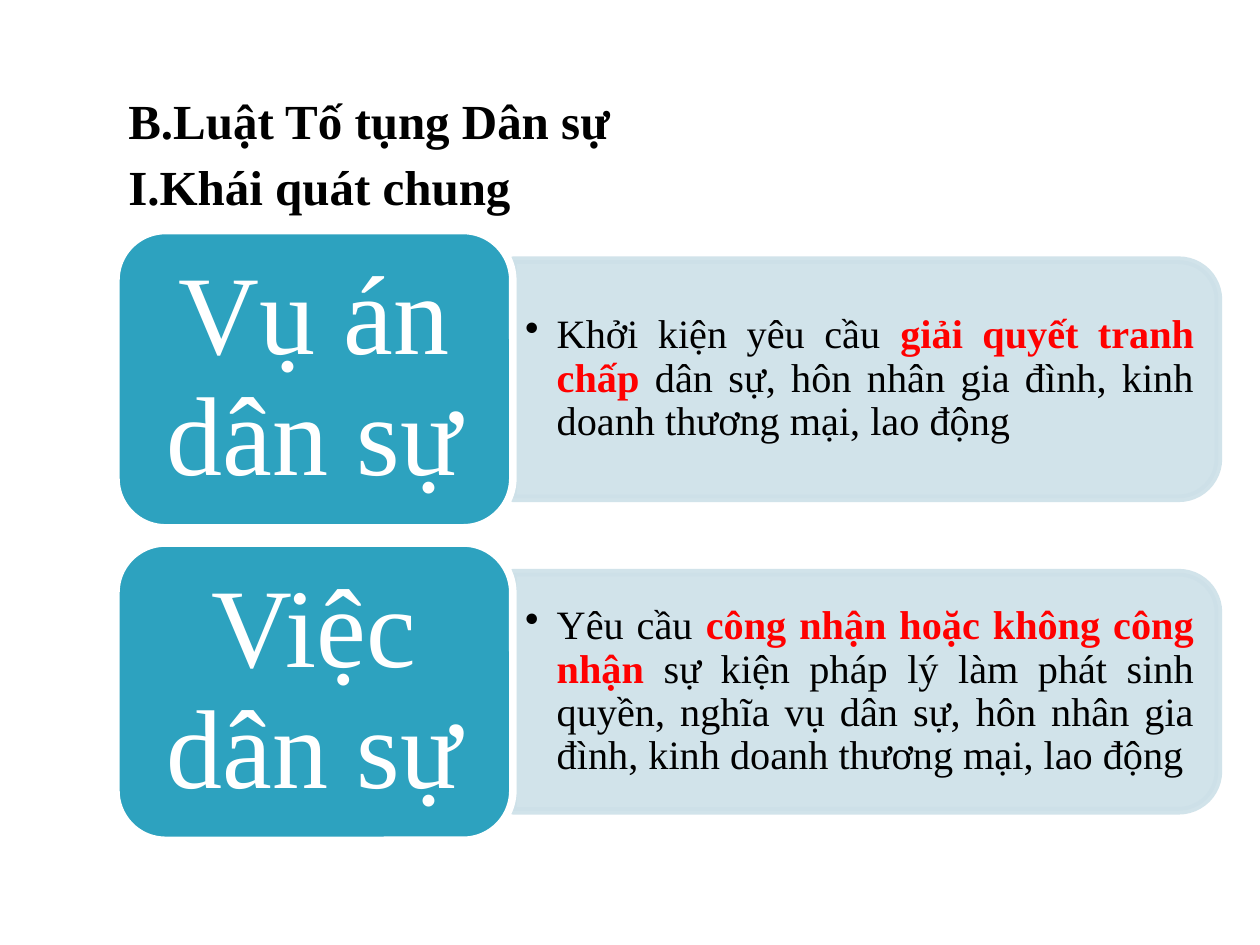
"""Build a slide that sets civil cases beside civil matters."""
from dataclasses import dataclass

from lxml.etree import SubElement
from pptx import Presentation
from pptx.dml.color import RGBColor
from pptx.enum.shapes import MSO_SHAPE
from pptx.enum.text import MSO_ANCHOR, PP_ALIGN
from pptx.oxml.ns import qn
from pptx.util import Inches, Pt


@dataclass(frozen=True)
class Theme:
    font: str = "Times New Roman"
    ink: str = "000000"
    stress: str = "FF0000"
    paper: str = "FFFFFF"
    tile: str = "2DA2BF"
    band: str = "CDE0E8"
    head: int = 28
    body: int = 23
    label: int = 64
    edge: float = 4.33
    alpha: int = 90


class Deck:
    COLS, ROWS = 100, 75

    def __init__(self, theme):
        self.theme = theme
        self.prs = Presentation()
        self.prs.slide_width, self.prs.slide_height = Inches(10), Inches(7.5)
        self.slide = self.prs.slides.add_slide(self.prs.slide_layouts[6])

    def place(self, x, y, w, h):
        col = self.prs.slide_width / self.COLS
        row = self.prs.slide_height / self.ROWS
        return [round(n) for n in (x * col, y * row, w * col, h * row)]

    def shape(self, kind, box, fill, line, alpha=100):
        item = self.slide.shapes.add_shape(kind, *self.place(*box))
        item.shadow.inherit = False
        item.line.width = Pt(self.theme.edge)
        for part, color in ((item.fill, fill), (item.line.fill, line)):
            part.solid()
            part.fore_color.rgb = RGBColor.from_string(color)
        if alpha < 100:
            for tint in item._element.spPr.iter(qn("a:srgbClr")):
                SubElement(tint, qn("a:alpha"), val=str(alpha * 1000))
        return item

    def tile(self, box):
        self.shape(MSO_SHAPE.ROUNDED_RECTANGLE, box, self.theme.tile, self.theme.paper)

    def band(self, x, y, w, h):
        box = (x + (w - h) / 2, y + (h - w) / 2, h, w)
        look = self.theme
        item = self.shape(MSO_SHAPE.ROUND_2_SAME_RECTANGLE, box, look.band, look.band, look.alpha)
        item.rotation = 90

    def text(self, box, paras, size, align=None, anchor=MSO_ANCHOR.MIDDLE,
             pad=(0.1, 0.05), lead=None, before=0, bullet=False):
        frame = self.slide.shapes.add_textbox(*self.place(*box)).text_frame
        frame.word_wrap = True
        frame.vertical_anchor = anchor
        frame.margin_left = frame.margin_right = Inches(pad[0])
        frame.margin_top = frame.margin_bottom = Inches(pad[1])
        for i, runs in enumerate(paras):
            para = frame.add_paragraph() if i else frame.paragraphs[0]
            para.alignment = align
            para.line_spacing = lead
            para.space_before = Pt(before)
            if bullet:
                self.bullet(para)
            for words, color, bold in runs:
                run = para.add_run()
                run.text = words
                run.font.name = self.theme.font
                run.font.size = Pt(size)
                run.font.bold = bold
                run.font.color.rgb = RGBColor.from_string(color)

    def bullet(self, para):
        props = para._p.get_or_add_pPr()
        props.set("marL", str(Inches(0.25)))
        props.set("indent", str(Inches(-0.25)))
        SubElement(props, qn("a:buChar"), char="•")

    def row(self, y, label, parts):
        look = self.theme
        self.band(40.7, y + 2.35, 56, 18.9)
        runs = [(words, look.stress if bold else look.ink, bold) for words, bold in parts]
        self.text((40.7, y + 3.3, 55.1, 17), [runs], look.body,
                  PP_ALIGN.JUSTIFY, lead=0.9, bullet=True)
        self.tile((9.2, y, 31.5, 23.6))
        self.text((10.3, y + 1.15, 29.2, 21.3), [[(label, look.paper, False)]],
                  look.label, PP_ALIGN.CENTER, pad=(0.27, 0.13), lead=0.9)


def main():
    look = Theme()
    deck = Deck(look)
    heads = ("B.Luật Tố tụng Dân sự", "I.Khái quát chung")
    deck.text((9.2, 6.7, 40.8, 12.5), [[(words, look.ink, True)] for words in heads],
              look.head, anchor=MSO_ANCHOR.TOP, before=4)
    rows = (
        ("Vụ án dân sự", (
            ("Khởi kiện yêu cầu ", False),
            ("giải quyết tranh chấp", True),
            (" dân sự, hôn nhân gia đình, kinh doanh thương mại, lao động", False))),
        ("Việc dân sự", (
            ("Yêu cầu ", False),
            ("công nhận hoặc không công nhận", True),
            (" sự kiện pháp lý làm phát sinh quyền, nghĩa vụ dân sự, "
             "hôn nhân gia đình, kinh doanh thương mại, lao động", False))),
    )
    for i, (label, parts) in enumerate(rows):
        deck.row(18.3 + i * 24.8, label, parts)
    deck.prs.save("out.pptx")


if __name__ == "__main__":
    main()
